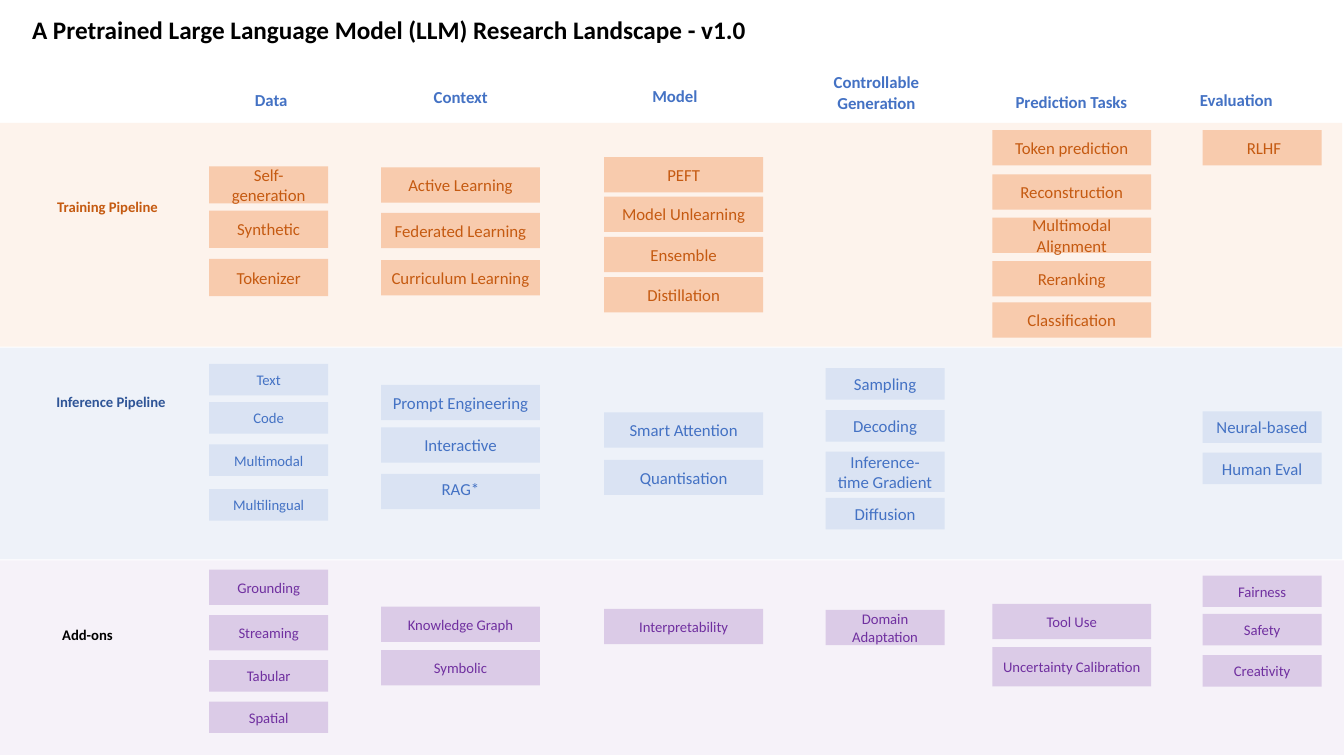
from pptx import Presentation
from pptx.util import Pt
from pptx.dml.color import RGBColor
from pptx.enum.shapes import MSO_SHAPE
from pptx.enum.text import MSO_ANCHOR, PP_ALIGN
from pptx.oxml.ns import qn
from lxml import etree

WIDE, HIGH = 960, 540
FONT = "Calibri"
TITLE = "A Pretrained Large Language Model (LLM) Research Landscape - v1.0"

COLS = {
    "Data": (149.4, 85, (126.7, 56.2, 134, 30.2)),
    "Context": (272.2, 113.5, (260, 54, 138.2, 31)),
    "Model": (431.6, 113.5, (405.4, 54, 153.4, 28.8)),
    "Controllable Generation": (589.7, 85, (584, 51.1, 84.2, 29.5)),
    "Prediction Tasks": (708.8, 113.5, (712, 60.5, 106.6, 23.8)),
    "Evaluation": (859, 85, (839.5, 56.2, 87.1, 30.2)),
}

BANDS = [
    {"name": "Training Pipeline", "ink": "C55A11", "label": (33.8, 137.5, 115),
     "area": (-1.4, 87.8, 159.8), "tint": ("ED7D31", 9), "fill": ("F8CBAD", 100),
     "stacks": [
         ("Data", 12, 26.6, [("Self-generation", 118.8), ("Synthetic", 150.5), ("Tokenizer", 185)]),
         ("Context", 12, 25.2, [("Active Learning", 119.5), ("Federated Learning", 152),
                                ("Curriculum Learning", 185.8)]),
         ("Model", 12, 25.2, [("PEFT", 112.3), ("Model Unlearning", 140.4),
                              ("Ensemble", 169.2), ("Distillation", 198)]),
         ("Prediction Tasks", 12, 25.2, [("Token prediction", 92.9), ("Reconstruction", 124.6),
                                         ("Multimodal Alignment", 155.5),
                                         ("Reranking", 186.5), ("Classification", 216)]),
         ("Evaluation", 12, 25.2, [(" RLHF", 92.9)]),
     ]},
    {"name": "Inference Pipeline", "ink": "4472C4", "label": (33.1, 277.2, 137.5),
     "label ink": "2F5597",
     "area": (-1.4, 248.4, 151.2), "tint": ("4472C4", 9), "fill": ("DAE3F3", 100),
     "stacks": [
         ("Data", 10.5, 22.5, [("Text", 260), ("Code", 287.3),
                               ("Multimodal", 317.5), ("Multilingual", 349.4)]),
         ("Context", 12, 25.2, [("Prompt Engineering", 275), ("Interactive", 305.3), ("RAG*", 338.4)]),
         ("Model", 12, 25.2, [("Smart Attention", 294.5), ("Quantisation", 328.4)]),
         ("Controllable Generation", 12, 22.5, [("Sampling", 262.9), ("Decoding", 293),
                                                ("Inference-time Gradient", 322.6),
                                                ("Diffusion", 355.7)]),
         ("Evaluation", 12, 22.5, [("Neural-based", 293.8), ("Human Eval", 323.3)]),
     ]},
    {"name": "Add-ons", "ink": "7030A0", "label": (37.4, 443.5, 60.5),
     "label ink": "000000",
     "area": (0, 400.3, 139), "tint": ("7030A0", 6), "fill": ("7030A0", 20),
     "stacks": [
         ("Data", 10.5, 25.2, [("Grounding", 406.8), ("Streaming", 439.4)]),
         ("Data", 10.5, 22.5, [("Tabular", 471.6), ("Spatial", 501.1)]),
         ("Context", 10.5, 25.2, [("Knowledge Graph", 433.4), ("Symbolic", 464.4)]),
         ("Model", 10.5, 25.2, [("Interpretability", 434.9)]),
         ("Controllable Generation", 10.5, 25.2, [("Domain Adaptation", 435.6)]),
         ("Prediction Tasks", 10.5, 25.2, [("Tool Use", 431.3), ("Uncertainty Calibration", 462.2)]),
         ("Evaluation", 10.5, 22.5, [("Fairness", 411.1), ("Safety", 438.5), ("Creativity", 468)]),
     ]},
]
TALL = {"Inference-time Gradient": 28.8, "Uncertainty Calibration": 28.1}
UPPER = {"RAG*"}

deck = Presentation()
deck.slide_width, deck.slide_height = Pt(WIDE), Pt(HIGH)
page = deck.slides.add_slide(deck.slide_layouts[6])


def hue(code):
    return RGBColor.from_string(code)


def write(shape, text, size, ink, bold=False, align=PP_ALIGN.CENTER, anchor=MSO_ANCHOR.MIDDLE):
    frame = shape.text_frame
    frame.text = text
    frame.word_wrap = True
    frame.vertical_anchor = anchor
    line = frame.paragraphs[0]
    line.alignment = align
    font = line.runs[0].font
    font.name, font.size, font.bold = FONT, Pt(size), bold
    font.color.rgb = hue(ink)


def block(x, y, w, h, fill):
    code, alpha = fill
    shape = page.shapes.add_shape(MSO_SHAPE.RECTANGLE, Pt(x), Pt(y), Pt(w), Pt(h))
    shape.shadow.inherit = False
    shape.line.fill.background()
    shape.fill.solid()
    shape.fill.fore_color.rgb = hue(code)
    if alpha < 100:
        tone = shape._element.spPr.find(qn("a:solidFill"))[0]
        etree.SubElement(tone, qn("a:alpha")).set("val", str(alpha * 1000))
    return shape


def label(x, y, w, h, *args, **style):
    write(page.shapes.add_textbox(Pt(x), Pt(y), Pt(w), Pt(h)), *args, **style)


for band in BANDS:
    x, y, h = band["area"]
    block(x, y, WIDE, h, band["tint"])

left = {"bold": True, "align": PP_ALIGN.LEFT, "anchor": MSO_ANCHOR.TOP}
label(15.8, 6.5, 634.3, 28.8, TITLE, 18, "000000", **left)
for name, (_, _, spot) in COLS.items():
    label(*spot, name, 12, "4472C4", bold=True)

for band in BANDS:
    x, y, w = band["label"]
    label(x, y, w, 20.2, band["name"], 10.5, band.get("label ink", band["ink"]), **left)
    for col, size, h, items in band["stacks"]:
        x, w, _ = COLS[col]
        for name, y in items:
            shape = block(x, y, w, TALL.get(name, h), band["fill"])
            anchor = MSO_ANCHOR.TOP if name in UPPER else MSO_ANCHOR.MIDDLE
            write(shape, name, size, band["ink"], anchor=anchor)

deck.save("out.pptx")
